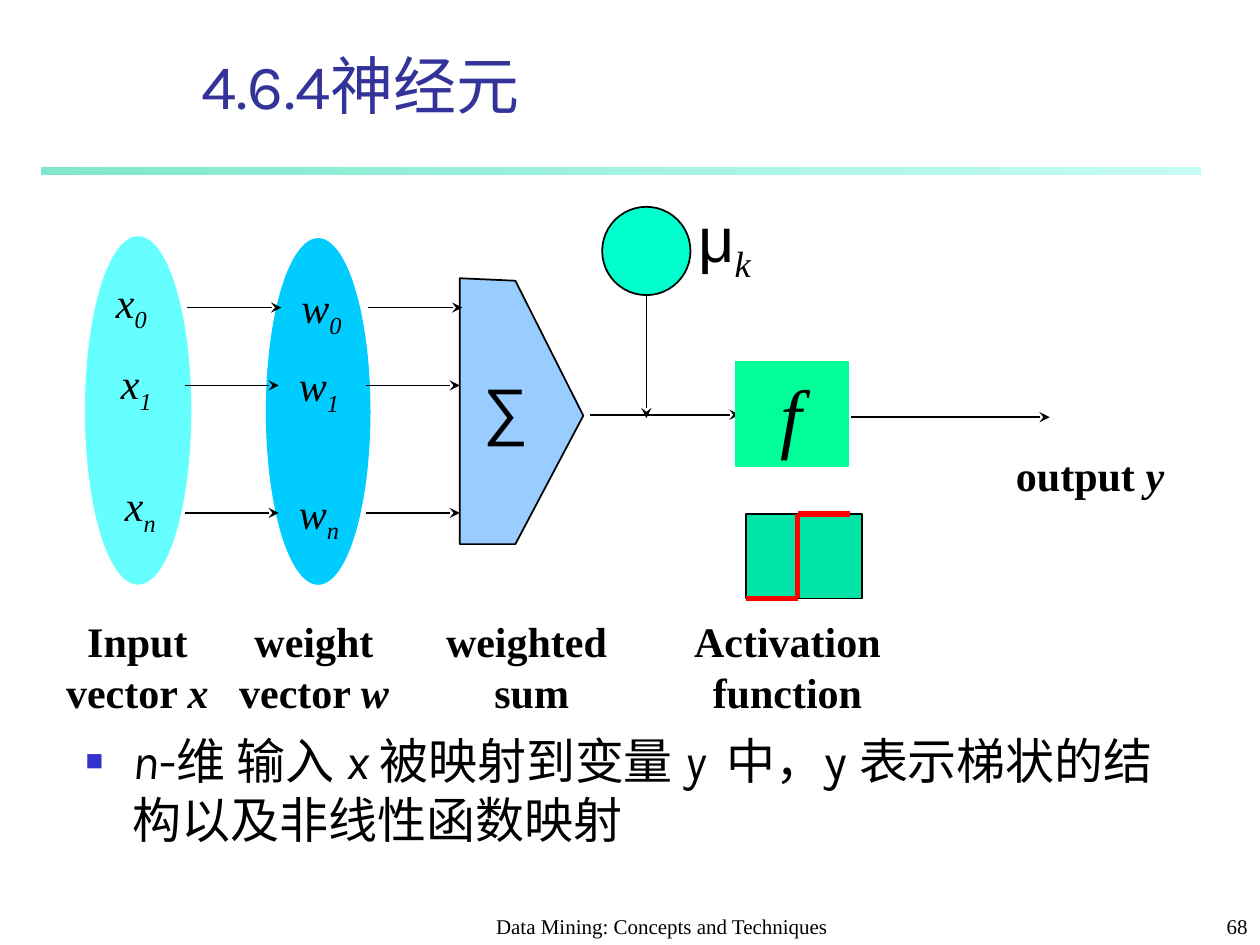
import pptx
import pptx.dml.color
import pptx.enum.shapes
import pptx.enum.text
import pptx.oxml.ns
import pptx.util
from lxml import etree

Cm = pptx.util.Cm
Pt = pptx.util.Pt
SHAPE = pptx.enum.shapes.MSO_SHAPE
ALIGN = pptx.enum.text.PP_ALIGN
ANCHOR = pptx.enum.text.MSO_ANCHOR
qn = pptx.oxml.ns.qn

SERIF = "Times New Roman"
HEADING = "Karla"


def rgb(value):
    return pptx.dml.color.RGBColor.from_string(value)


def add_run(p, text, size=24, font=SERIF, color="000000", bold=False,
            italic=False, baseline=0):
    r = p.add_run()
    r.text = text
    r.font.size = Pt(size)
    r.font.bold = bold
    r.font.italic = italic
    r.font.name = font
    r.font.color.rgb = rgb(color)
    rpr = r.font._element
    if baseline:
        rpr.set("baseline", str(baseline * 1000))
    rpr.find(qn("a:latin")).addnext(
        rpr.makeelement(qn("a:ea"), {"typeface": font}))


def write(tf, paragraphs, align=ALIGN.CENTER, anchor=ANCHOR.TOP, wrap=False, **style):
    """Fill a frame; each paragraph is a list of (text, overrides) runs."""
    tf.word_wrap = wrap
    tf.auto_size = pptx.enum.text.MSO_AUTO_SIZE.NONE
    tf.vertical_anchor = anchor
    for i, runs in enumerate(paragraphs):
        p = tf.add_paragraph() if i else tf.paragraphs[0]
        p.alignment = align
        p.space_before = Pt(0)
        for text, changes in runs:
            add_run(p, text, **{**style, **changes})


def add_bullet(p, char, color, percent, indent):
    ppr = p._p.get_or_add_pPr()
    ppr.set("marL", str(Cm(indent)))
    ppr.set("indent", str(-Cm(indent)))
    bu_color = etree.SubElement(ppr, qn("a:buClr"))
    etree.SubElement(bu_color, qn("a:srgbClr"), val=color)
    etree.SubElement(ppr, qn("a:buSzPct"), val=str(percent * 1000))
    etree.SubElement(ppr, qn("a:buFont"), typeface="Arial")
    etree.SubElement(ppr, qn("a:buChar"), char=char)


class Canvas:
    """Holds the current slide and the line style; lengths are centimetres."""

    def __init__(self, slide, ink="000000", weight=1):
        self.s = slide
        self.ink = ink
        self.weight = weight

    def placeholder(self, index, box, paragraphs, **style):
        sp = self.s.placeholders[index]
        sp.left, sp.top, sp.width, sp.height = map(Cm, box)
        write(sp.text_frame, paragraphs, align=ALIGN.LEFT, wrap=True, **style)
        return sp

    def text(self, box, paragraphs, **style):
        sp = self.s.shapes.add_textbox(*map(Cm, box))
        write(sp.text_frame, paragraphs, **style)

    def paint(self, sp, fill, line, weight=None):
        sp.shadow.inherit = False
        sp.fill.solid()
        sp.fill.fore_color.rgb = rgb(fill)
        if line:
            sp.line.color.rgb = rgb(line)
            sp.line.width = Pt(weight or self.weight)
        else:
            sp.line.fill.background()

    def shape(self, kind, box, fill, line=None, weight=None):
        sp = self.s.shapes.add_shape(kind, *map(Cm, box))
        self.paint(sp, fill, line, weight)
        return sp

    def gradient_bar(self, box, start, end):
        sp = self.shape(SHAPE.RECTANGLE, box, start)
        sp.fill.gradient()
        sp.fill.gradient_angle = 0
        for stop, color in zip(sp.fill.gradient_stops, (start, end)):
            stop.color.rgb = rgb(color)

    def polygon(self, points, fill):
        points = [(Cm(x), Cm(y)) for x, y in points]
        builder = self.s.shapes.build_freeform(*points[0])
        builder.add_line_segments(points[1:], close=True)
        self.paint(builder.convert_to_shape(), fill, self.ink)

    def line(self, start, end, color=None, weight=None):
        sp = self.s.shapes.add_connector(
            pptx.enum.shapes.MSO_CONNECTOR.STRAIGHT, *map(Cm, (*start, *end)))
        sp.line.color.rgb = rgb(color or self.ink)
        sp.line.width = Pt(weight or self.weight)
        etree.SubElement(sp._element.spPr, qn("a:effectLst"))
        return sp

    def arrow(self, start, end):
        sp = self.line(start, end)
        etree.SubElement(sp.line._get_or_add_ln(), qn("a:tailEnd"), type="stealth")

    def variable(self, box, name, sub):
        self.text(box, [[(name, {}), (sub, {"baseline": -25})]], italic=True)


def main():
    prs = pptx.Presentation()
    prs.slide_width, prs.slide_height = Cm(25.4), Cm(19.05)
    c = Canvas(prs.slides.add_slide(prs.slide_layouts[1]))
    italic = {"italic": True}

    c.gradient_bar((0.83, 3.37, 23.38, 0.16), "80E7CC", "C5FCF7")
    c.placeholder(0, (3.81, 1.22, 15.06, 1.37), [[("4.6.4神经元", {})]],
                  anchor=ANCHOR.BOTTOM, size=36, font=HEADING, color="333399")
    body = c.placeholder(1, (1.47, 14.6, 22.43, 2.97), [[
        ("n", italic), ("-维 输入 ", {}), ("x ", italic), ("被映射到变量 ", {}),
        ("y  ", italic), ("中，y 表示梯状的结构以及非线性函数映射", {}),
    ]], size=28, font=HEADING)
    add_bullet(body.text_frame.paragraphs[0], "■", "3333CC", 60, 0.95)

    # Input and weight vectors, with one arrow pair per row
    c.shape(SHAPE.OVAL, (5.36, 4.8, 2.11, 6.99), "00CCFF")
    c.shape(SHAPE.OVAL, (1.73, 4.78, 2.11, 6.99), "66FFFF", "66FFFF")
    c.polygon([(9.27, 5.61), (9.27, 10.97), (10.39, 10.97),
               (11.76, 8.38), (10.39, 5.66)], "99CCFF")
    c.text((9.5, 7.34, 1.4, 1.78), [[("∑", {})]], size=36, font="Arial")
    rows = [("0", 6.2, 0.05, (2.08, 5.44)),
            ("1", 7.77, 0, (2.18, 7.09)),
            ("n", 10.34, 0, (2.26, 9.55))]
    for sub, y, shift, x_pos in rows:
        for left in (3.72, 7.37):
            c.arrow((left + shift, y), (left + shift + 1.9, y))
        c.variable((*x_pos, 1.14, 1.42), "x", sub)
        c.variable((5.77 + shift, y - 0.64, 1.32, 1.42), "w", sub)

    # Bias, activation and output
    c.shape(SHAPE.OVAL, (12.14, 4.17, 1.78, 1.78), "00FFCC", c.ink)
    c.text((13.82, 3.89, 1.57, 1.98),
           [[("μ", {"font": "Arial"}), ("k", {"italic": True, "baseline": -25})]],
           size=36)
    c.arrow((13.03, 5.94), (13.03, 8.43))
    c.arrow((11.89, 8.36), (14.91, 8.36))
    activation = c.shape(SHAPE.RECTANGLE, (14.83, 7.29, 2.26, 2.11), "00FF99", "00FF99")
    write(activation.text_frame, [[("f", italic)]], wrap=True, size=44)
    c.arrow((17.15, 8.41), (21.16, 8.41))
    c.text((20.22, 8.94, 3.51, 1.27), [[("output ", {}), ("y", italic)]], bold=True)

    # Step function
    c.shape(SHAPE.RECTANGLE, (15.04, 10.36, 2.34, 1.7), "00E4A8", c.ink, 0.75)
    step = [(15.04, 12.06), (16.08, 12.06), (16.08, 10.36), (17.14, 10.36)]
    for start, end in zip(step, step[1:]):
        c.line(start, end, "FF0000", 3)

    captions = [
        (1.07, 3.4, "Input", [("vector ", {}), ("x", italic)]),
        (4.55, 3.56, "weight", [("vector ", {}), ("w", italic)]),
        (8.74, 3.96, "weighted ", [("sum", {})]),
        (13.74, 4.27, "Activation", [("function", {})]),
    ]
    for left, width, first, second in captions:
        c.text((left, 12.29, width, 2.29), [[(first, {})], second], bold=True)

    footers = [(9.32, 8.05, "Data Mining: Concepts and Techniques", ALIGN.CENTER),
               (20.12, 5.28, "68", ALIGN.RIGHT)]
    for left, width, text, align in footers:
        c.text((left, 17.99, width, 1.06), [[(text, {})]], align=align,
               anchor=ANCHOR.BOTTOM, wrap=True, size=12)

    prs.save("out.pptx")


if __name__ == "__main__":
    main()
